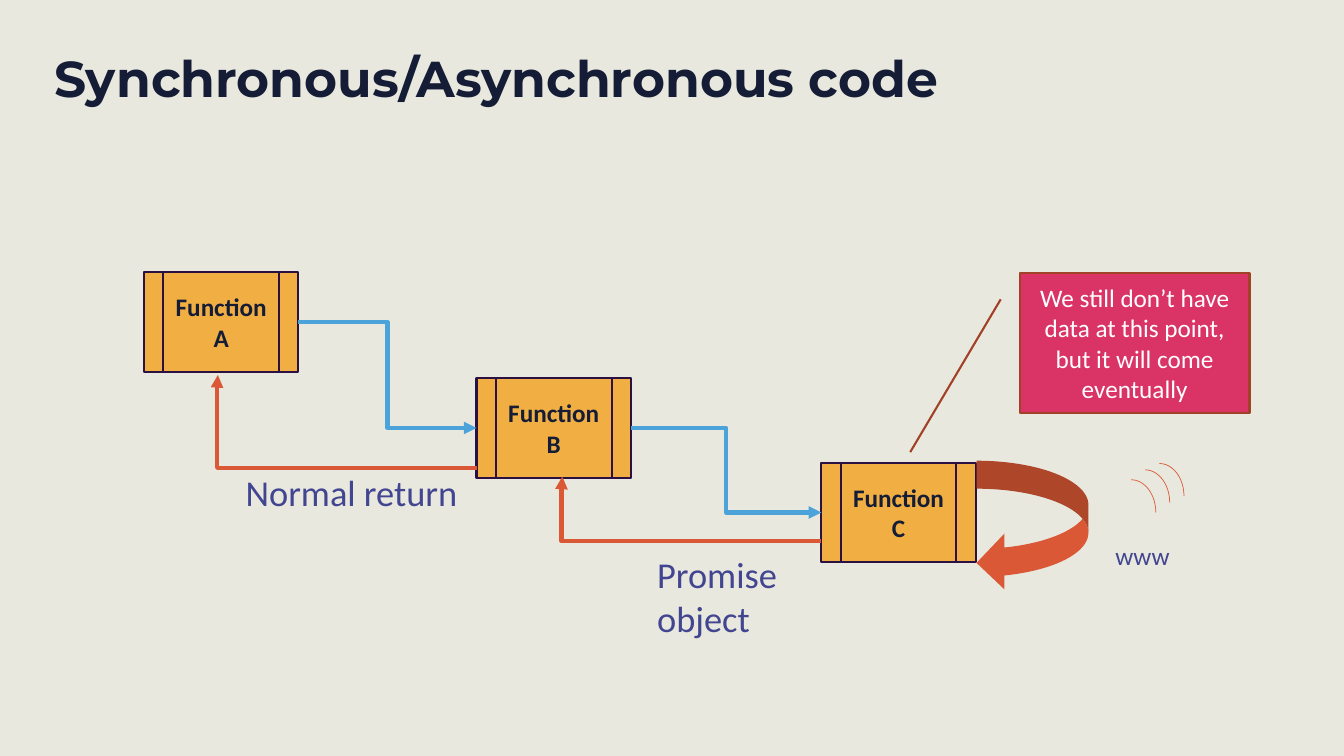
from lxml import etree
from pptx import Presentation, util as u
from pptx.dml.color import RGBColor
from pptx.enum import shapes, text
from pptx.oxml.ns import qn

# Content (all lengths in cm)
COLORS = {
    "ground": "E9E8DE", "ink": "141C36", "label": "424590", "white": "FFFFFF",
    "box": "F0AE43", "box_line": "2B1141", "call": "4CA3D9", "return": "DA5835",
    "callout": "DA3467", "callout_line": "A14127",
}
TITLE = "Synchronous/Asynchronous code"
FUNCTIONS = [("Function A", 3.63, 6.86), ("Function B", 12.01, 9.53), ("Function C", 20.7, 11.66)]
BOX_W, BOX_H = 3.89, 2.51
# Each return: start below the caller's top, arrow end right of the target's left, gap under it
RETURNS = [(2.26, 1.86, 0.08), (1.98, 2.16, -0.03)]
LABELS = [
    (["www"], 18, (27.86, 13.49, 1.91, 1.02)),
    (["Promise", "object"], 26, (16.31, 13.79, 3.56, 2.49)),
    (["Normal return"], 26, (5.94, 11.73, 5.92, 1.37)),
]
LOOP = (24.61, 11.61, 2.82, 3.28)
ARCS = [(28.6, 11.68), (28.24, 11.84), (27.89, 12.09)]
ARC_SIZE = (1.24, 1.65)
CALLOUT = "We still don’t have data at this point, but it will come eventually"
CALLOUT_AREA = (25.7, 6.88, 5.79, 3.53)
CALLOUT_POINTS = (0.188, -0.083, 1.279, -0.477)


def rgb(name):
    return RGBColor.from_string(COLORS[name])


def cm(values):
    return [u.Cm(value) for value in values]


def write(shape, lines, size, color, font="Calibri", bold=False, align=None):
    frame = shape.text_frame
    frame.text = "\n".join(lines)
    for para in frame.paragraphs:
        para.alignment = align
        for span in para.runs:
            span.font.name, span.font.size, span.font.bold = font, u.Pt(size), bold
            span.font.color.rgb = rgb(color)
    return frame


def add_shape(kind, area, fill=None, line=None, width=1.5):
    shape = page.shapes.add_shape(kind, *cm(area))
    shape.shadow.inherit = False
    if fill:
        shape.fill.solid()
        shape.fill.fore_color.rgb = rgb(fill)
    else:
        shape.fill.background()
    if line:
        shape.line.color.rgb = rgb(line)
        shape.line.width = u.Pt(width)
    else:
        shape.line.fill.background()
    return shape


def add_elbow(start, end, color, bend=0.5, turned=False):
    first, last = (end, start) if turned else (start, end)
    elbow = page.shapes.add_connector(shapes.MSO_CONNECTOR.ELBOW, *cm(first + last))
    elbow.line.color.rgb = rgb(color)
    elbow.line.width = u.Pt(3)
    props = elbow._element.spPr
    if turned:
        props.find(qn("a:xfrm")).set("rot", "10800000")
    guides = props.find(qn("a:prstGeom")).find(qn("a:avLst"))
    etree.SubElement(guides, qn("a:gd"), name="adj1", fmla=f"val {round(bend * 100000)}")
    etree.SubElement(props.find(qn("a:ln")), qn("a:tailEnd"), type="triangle")
    etree.SubElement(props, qn("a:effectLst"))


deck = Presentation()
deck.slide_width, deck.slide_height = u.Cm(33.87), u.Cm(19.05)
page = deck.slides.add_slide(deck.slide_layouts[6])
page.background.fill.solid()
page.background.fill.fore_color.rgb = rgb("ground")

# Title
title = page.shapes.add_textbox(*cm((1.37, 1.24, 24.33, 1.88)))
frame = write(title, [TITLE], 36, "ink", "Montserrat", True)
frame.word_wrap = True
frame.margin_left = frame.margin_right = 0
frame.paragraphs[0].line_spacing = 0.9

# Function boxes
for name, left, top in FUNCTIONS:
    box = add_shape(shapes.MSO_SHAPE.FLOWCHART_PREDEFINED_PROCESS,
                    (left, top, BOX_W, BOX_H), "box", "box_line")
    write(box, [name], 18, "ink", bold=True, align=text.PP_ALIGN.CENTER)

# Calls forward and returns back between neighbouring functions
for caller, callee, (drop, inset, gap) in zip(FUNCTIONS, FUNCTIONS[1:], RETURNS):
    (_, left, top), (_, next_left, next_top) = caller, callee
    add_elbow((left + BOX_W, top + BOX_H / 2), (next_left, next_top + BOX_H / 2), "call")
    add_elbow((next_left, next_top + drop), (left + inset, top + BOX_H + gap),
              "return", 1.003, turned=True)

# Request loop and radio waves
add_shape(shapes.MSO_SHAPE.CURVED_LEFT_ARROW, LOOP, "return")
for corner in ARCS:
    add_shape(shapes.MSO_SHAPE.ARC, corner + ARC_SIZE, line="return", width=0.5)

# Labels
for lines, size, area in LABELS:
    label = page.shapes.add_textbox(*cm(area))
    frame = write(label, lines, size, "label")
    frame.word_wrap = False
    frame.auto_size = text.MSO_AUTO_SIZE.SHAPE_TO_FIT_TEXT

# Callout
callout = add_shape(shapes.MSO_SHAPE.LINE_CALLOUT_1, CALLOUT_AREA, "callout", "callout_line")
for index, point in enumerate(CALLOUT_POINTS):
    callout.adjustments[index] = point
write(callout, [CALLOUT], 18, "white", align=text.PP_ALIGN.CENTER)

deck.save("out.pptx")
